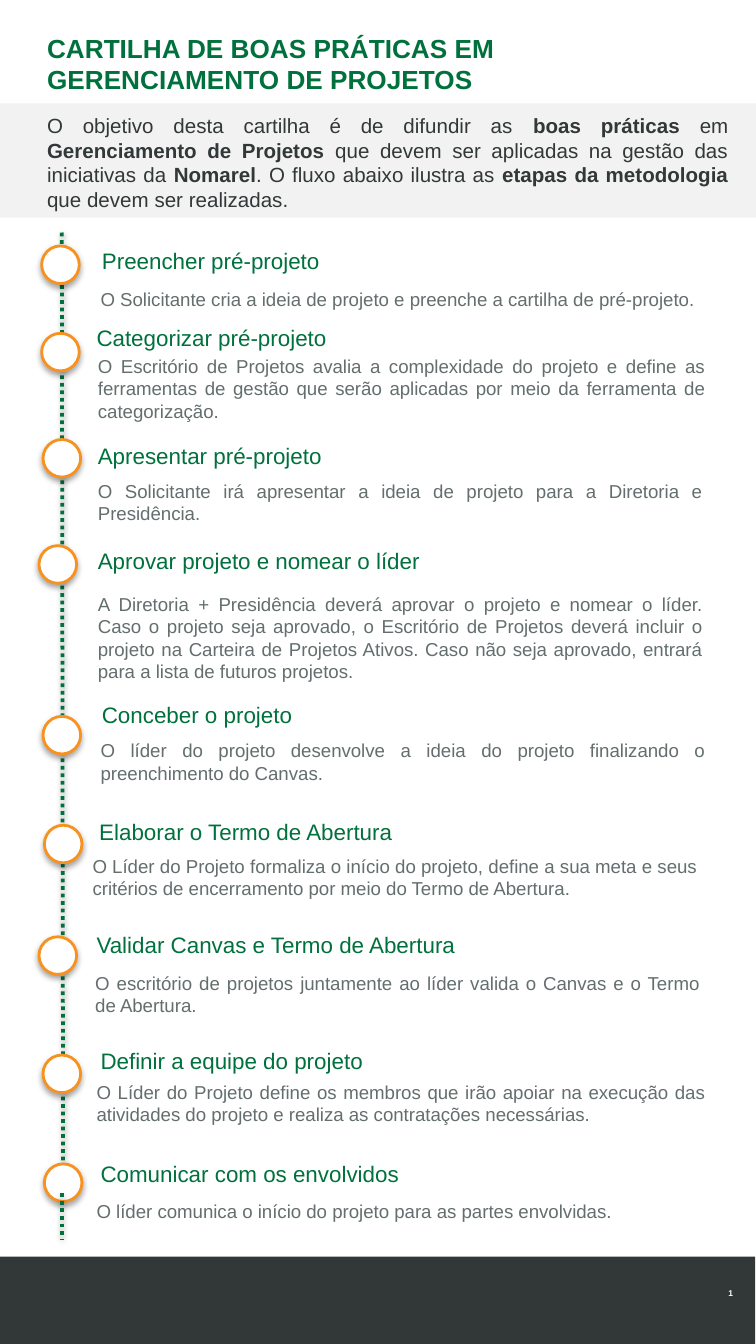
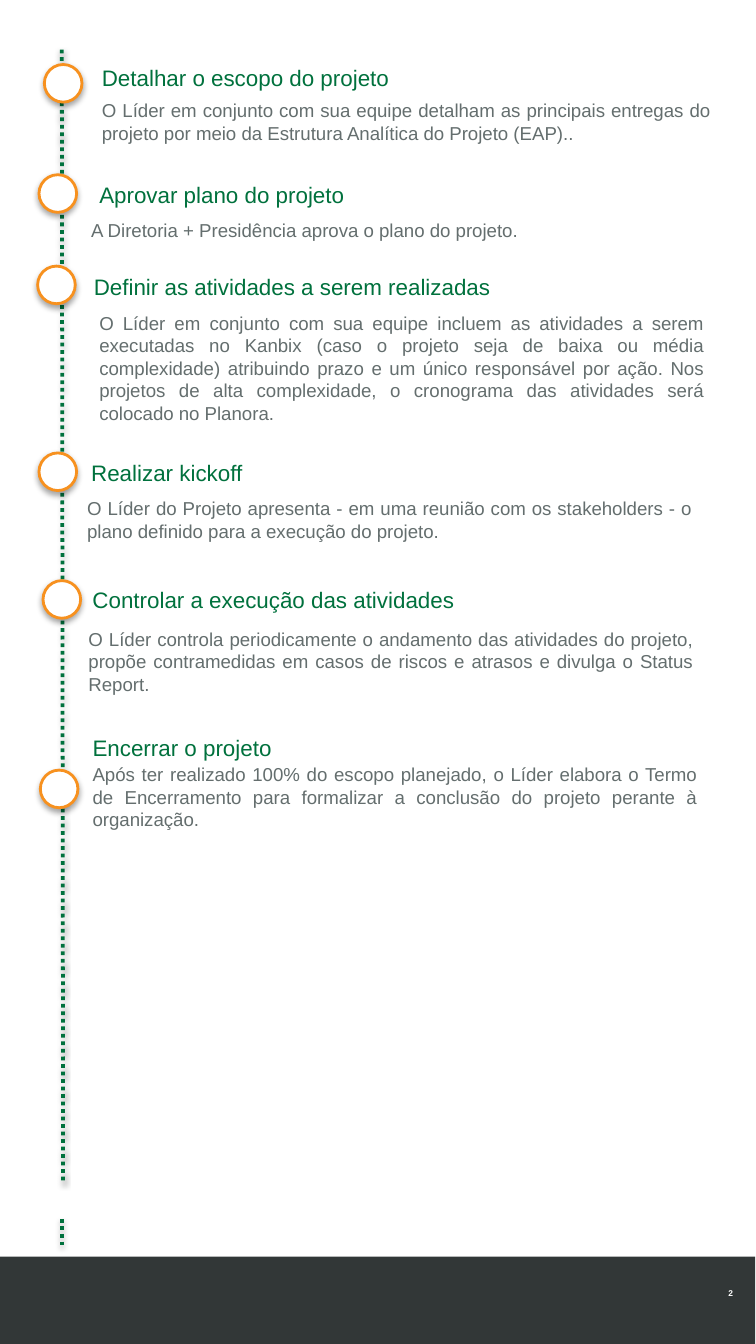
from lxml import etree
from pptx import Presentation
from pptx.dml.color import RGBColor
from pptx.enum.dml import MSO_LINE
from pptx.enum.shapes import MSO_CONNECTOR, MSO_SHAPE
from pptx.enum.text import MSO_ANCHOR, MSO_AUTO_SIZE, PP_ALIGN
from pptx.oxml import parse_xml
from pptx.oxml.ns import nsdecls, qn
from pptx.util import Pt

PX = 9144  # 100 px to the inch
HEIGHT, BAND_WIDTH = 1000, 563
GREEN, ORANGE, DARK, GREY, PALE, WHITE = (
    "00713D", "F7911F", "323737", "646E6E", "F2F2F2", "FFFFFF")
AXIS_X, CIRCLE = 46, 28
HEADING_HEIGHT, LINE_HEIGHT, INSETS = 30, 17, 10

TITLE_FONT = {"size": Pt(14), "name": "Arial", "bold": True}
INTRO_FONT = {"size": Pt(11), "name": "Arial"}
HEADING_FONT = {"size": Pt(12), "name": "Arial"}
DETAIL_FONT = {"size": Pt(10), "name": "Arial"}
NUMBER_FONT = {"size": Pt(4.5), "name": "Arial", "bold": True}

TITLE = "CARTILHA DE BOAS PRÁTICAS EM GERENCIAMENTO DE PROJETOS"
# Every second piece is bold
INTRO = ["O objetivo desta cartilha é de difundir as ", "boas práticas", " em ",
         "Gerenciamento de Projetos",
         " que devem ser aplicadas na gestão das iniciativas da ", "Nomarel",
         ". O fluxo abaixo ilustra as ", "etapas da metodologia",
         " que devem ser realizadas."]

# Circle (left, top), heading (left, top, width), detail (left, top, width, lines)
FIRST_STEPS = [
    ((31, 183), (66, 179, 198), "Preencher pré-projeto", (65, 209, 469, 1),
     "O Solicitante cria a ideia de projeto e preenche a cartilha de pré-projeto."),
    ((31, 248), (62, 236, 244), "Categorizar pré-projeto", (63, 259, 471, 3),
     "O Escritório de Projetos avalia a complexidade do projeto e define as ferramentas "
     "de gestão que serão aplicadas por meio da ferramenta de categorização."),
    ((32, 327), (63, 324, 310), "Apresentar pré-projeto", (63, 352, 469, 2),
     "O Solicitante irá apresentar a ideia de projeto para a Diretoria e Presidência."),
    ((29, 406), (63, 402, 344), "Aprovar projeto e nomear o líder", (63, 436, 469, 4),
     "A Diretoria + Presidência deverá aprovar o projeto e nomear o líder. Caso o projeto "
     "seja aprovado, o Escritório de Projetos deverá incluir o projeto na Carteira de "
     "Projetos Ativos. Caso não seja aprovado, entrará para a lista de futuros projetos."),
    ((32, 533), (66, 517, 244), "Conceber o projeto", (65, 545, 469, 2),
     "O líder do projeto desenvolve a ideia do projeto finalizando o preenchimento do Canvas."),
    ((33, 614), (64, 604, 244), "Elaborar o Termo de Abertura", (59, 631, 469, 2),
     "O Líder do Projeto formaliza o início do projeto, define a sua meta e seus critérios "
     "de encerramento por meio do Termo de Abertura."),
    ((29, 697), (62, 688, 335), "Validar Canvas e Termo de Abertura", (61, 718, 469, 2),
     "O escritório de projetos juntamente ao líder valida o Canvas e o Termo de Abertura."),
    ((32, 785), (65, 774, 260), "Definir a equipe do projeto", (62, 799, 472, 2),
     "O Líder do Projeto define os membros que irão apoiar na execução das atividades do "
     "projeto e realiza as contratações necessárias."),
    ((33, 866), (65, 858, 260), "Comunicar com os envolvidos", (62, 888, 472, 1),
     "O líder comunica o início do projeto para as partes envolvidas."),
]
LAST_STEPS = [
    ((33, 48), (66, 43, 260), "Detalhar o escopo do projeto", (66, 69, 472, 2),
     "O Líder em conjunto com sua equipe detalham as principais entregas do projeto por "
     "meio da Estrutura Analítica do Projeto (EAP).."),
    ((29, 130), (64, 130, 245), "Aprovar plano do projeto", (58, 158, 469, 1),
     "A Diretoria + Presidência aprova o plano do projeto."),
    ((28, 198), (60, 198, 347), "Definir as atividades a serem realizadas", (64, 227, 469, 5),
     "O Líder em conjunto com sua equipe incluem as atividades a serem executadas no Kanbix "
     "(caso o projeto seja de baixa ou média complexidade) atribuindo prazo e um único "
     "responsável por ação. Nos projetos de alta complexidade, o cronograma das atividades "
     "será colocado no Planora."),
    ((29, 337), (58, 337, 181), "Realizar kickoff", (55, 365, 469, 2),
     "O Líder do Projeto apresenta - em uma reunião com os stakeholders - o plano definido "
     "para a execução do projeto."),
    ((32, 432), (59, 431, 297), "Controlar a execução das atividades", (56, 462, 469, 3),
     "O Líder controla periodicamente o andamento das atividades do projeto, propõe "
     "contramedidas em casos de riscos e atrasos e divulga o Status Report."),
    ((30, 573), (59, 541, 181), "Encerrar o projeto", (59, 563, 469, 3),
     "Após ter realizado 100% do escopo planejado, o Líder elabora o Termo de Encerramento "
     "para formalizar a conclusão do projeto perante à organização."),
]


def write(frame, pieces, font, color, align=PP_ALIGN.LEFT, fit=MSO_AUTO_SIZE.NONE):
    """Fill the frame with one paragraph; every second piece is bold."""
    for name, value in {"word_wrap": True, "auto_size": fit}.items():
        setattr(frame, name, value)
    para = frame.paragraphs[0]
    para.alignment = align
    for index, piece in enumerate(pieces):
        span = para.add_run()
        span.text = piece
        for name, value in ({"bold": index % 2 == 1} | font).items():
            setattr(span.font, name, value)
        span.font.color.rgb = RGBColor.from_string(color)
    return para


def cast_shadow(shape, distance, opacity):
    shape._element.spPr.append(parse_xml(
        f'<a:effectLst {nsdecls("a")}><a:outerShdw blurRad="40000" dist="{distance}" '
        'dir="5400000" rotWithShape="0"><a:srgbClr val="000000">'
        f'<a:alpha val="{opacity}000"/></a:srgbClr></a:outerShdw></a:effectLst>'))


deck = Presentation()
deck.slide_height = HEIGHT * PX
deck.slide_width = deck.slide_height * 9 // 16

# Layout, timeline and its tail (top, bottom, lean), steps
pages = [
    (1, (173, 880, 1), (888, 922, 0), FIRST_STEPS),
    (6, (37, 880, 1), (907, 926, 0), LAST_STEPS),
]

for number, (layout, main_line, tail_line, steps) in enumerate(pages, 1):
    page = deck.slides.add_slide(deck.slide_layouts[layout])

    bands = [(-1, 935, BAND_WIDTH, 66, DARK)]
    if number == 1:
        bands.append((0, 77, BAND_WIDTH, 85, PALE))
    for *place, color in bands:
        band = page.shapes.add_shape(MSO_SHAPE.RECTANGLE, *[v * PX for v in place])
        band.shadow.inherit = False
        band.fill.solid()
        band.fill.fore_color.rgb = RGBColor.from_string(color)
        band.line.fill.background()
        # Bands lie behind the placeholders
        page.shapes._spTree.insert(2, band._element)

    number_box = page.shapes.add_textbox(533 * PX, 940 * PX, 29 * PX, 44 * PX)
    frame = number_box.text_frame
    para = write(frame, [str(number)], NUMBER_FONT, WHITE)
    margins = {"margin_left": 9, "margin_right": 6, "margin_top": 3, "margin_bottom": 3}
    for name, value in margins.items():
        setattr(frame, name, value * PX)
    frame.vertical_anchor = MSO_ANCHOR.MIDDLE
    digits = para.runs[0]._r
    field = etree.SubElement(
        para._p, qn("a:fld"), id="{B6F15528-21DE-4FAA-801E-634DDDAF4B2B}", type="slidenum")
    field.extend(list(digits))
    para._p.remove(digits)

    if number == 1:
        title, intro = page.shapes.title, page.placeholders[1]
        for holder, top, height in ((title, 19, 66), (intro, 79, 72)):
            place = {"left": 25, "top": top, "width": 527, "height": height}
            for name, value in place.items():
                setattr(holder, name, value * PX)
            holder.text_frame.vertical_anchor = MSO_ANCHOR.TOP
        write(title.text_frame, [TITLE], TITLE_FONT, GREEN)
        para = write(intro.text_frame, INTRO, INTRO_FONT, DARK, PP_ALIGN.JUSTIFY)
        para.space_before = Pt(0)
        properties = para._p.get_or_add_pPr()
        properties.set("marL", "0")
        properties.set("indent", "0")
        etree.SubElement(properties, qn("a:buNone"))

    for top, bottom, lean in (main_line, tail_line):
        timeline = page.shapes.add_connector(
            MSO_CONNECTOR.STRAIGHT, AXIS_X * PX, top * PX, (AXIS_X + lean) * PX, bottom * PX)
        timeline.line.color.rgb = RGBColor.from_string(GREEN)
        timeline.line.width = Pt(2)
        timeline.line.dash_style = MSO_LINE.ROUND_DOT
        cast_shadow(timeline, 20000, 38)

    for (left, top), heading_place, heading, (*detail_place, lines), detail in steps:
        circle = page.shapes.add_shape(
            MSO_SHAPE.OVAL, left * PX, top * PX, CIRCLE * PX, CIRCLE * PX)
        circle.fill.solid()
        circle.fill.fore_color.rgb = RGBColor.from_string(WHITE)
        circle.line.color.rgb = RGBColor.from_string(ORANGE)
        circle.line.width = Pt(1.5)
        cast_shadow(circle, 23000, 35)

        detail_height = INSETS + LINE_HEIGHT * lines
        for place, height, words, font, color, align in (
                (heading_place, HEADING_HEIGHT, heading, HEADING_FONT, GREEN, PP_ALIGN.LEFT),
                (detail_place, detail_height, detail, DETAIL_FONT, GREY, PP_ALIGN.JUSTIFY)):
            box = page.shapes.add_textbox(*[v * PX for v in (*place, height)])
            write(box.text_frame, [words], font, color, align, MSO_AUTO_SIZE.SHAPE_TO_FIT_TEXT)

    # The tail of the timeline runs over the last circle
    page.shapes._spTree.append(timeline._element)

deck.save("out.pptx")
